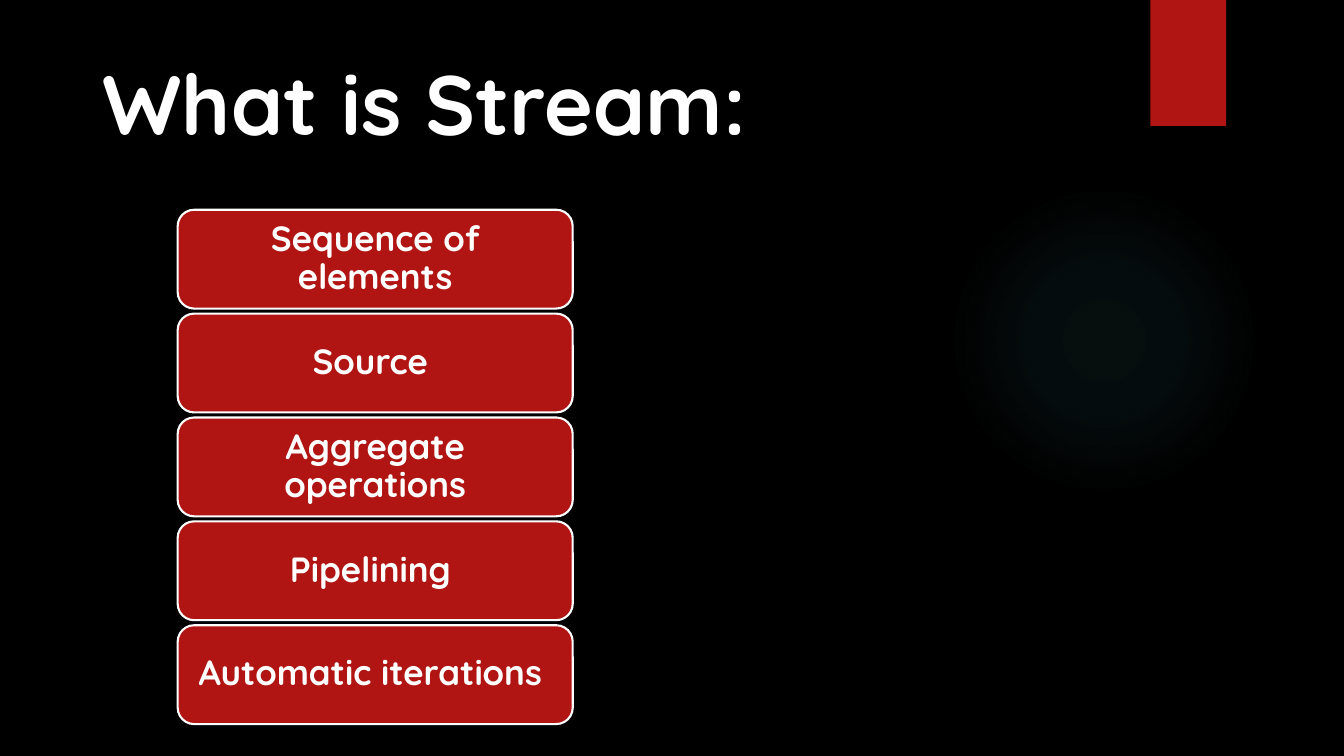
from dataclasses import dataclass

from lxml import etree
from pptx import Presentation
from pptx.dml.color import RGBColor
from pptx.enum.shapes import MSO_SHAPE
from pptx.enum.text import MSO_ANCHOR, MSO_AUTO_SIZE, PP_ALIGN
from pptx.oxml import parse_xml
from pptx.oxml.ns import nsdecls, qn
from pptx.util import Pt

ELLIPSE, RECTANGLE = MSO_SHAPE.OVAL, MSO_SHAPE.RECTANGLE
ROUNDED = MSO_SHAPE.ROUNDED_RECTANGLE
BOTTOM, MIDDLE = MSO_ANCHOR.BOTTOM, MSO_ANCHOR.MIDDLE
LEFT, CENTER = PP_ALIGN.LEFT, PP_ALIGN.CENTER
NO_AUTOFIT = MSO_AUTO_SIZE.NONE
TITLE_ONLY = 5

FEATURES = [
    "Sequence of elements",
    "Source ",
    "Aggregate operations",
    "Pipelining ",
    "Automatic iterations ",
]
FEATURE_LEFT, FEATURE_TOP = 126.9, 149.8
FEATURE_WIDTH, FEATURE_HEIGHT, FEATURE_PITCH = 282.2, 70.6, 74.2


@dataclass(frozen=True)
class Theme:
    background: str = "000000"
    accent: str = "B01513"
    glow: str = "50B9C1"
    text: str = "FFFFFF"
    font: str = "Quicksand"
    title_size: float = 60
    feature_size: float = 25
    outline: float = 1.5


class SlideBuilder:
    def __init__(self, slide, theme):
        self.slide = slide
        self.theme = theme

    def background(self):
        fill = self.slide.background.fill
        fill.solid()
        fill.fore_color.rgb = RGBColor.from_string(self.theme.background)

    def add_text(self, frame, text, size, align, anchor):
        frame.word_wrap = True
        frame.auto_size = NO_AUTOFIT
        frame.vertical_anchor = anchor
        paragraph = frame.paragraphs[0]
        paragraph.alignment = align
        run = paragraph.add_run()
        run.text = text
        run.font.name = self.theme.font
        run.font.size = Pt(size)
        run.font.bold = True
        run.font.color.rgb = RGBColor.from_string(self.theme.text)
        return paragraph

    def title(self, text, left, top, width, height):
        title = self.slide.shapes.title
        title.left, title.top = Pt(left), Pt(top)
        title.width, title.height = Pt(width), Pt(height)
        self.add_text(title.text_frame, text, self.theme.title_size, LEFT, BOTTOM)

    def block(self, kind, left, top, width, height):
        """Add an accent-coloured shape without outline or shadow."""
        block = self.slide.shapes.add_shape(
            kind, Pt(left), Pt(top), Pt(width), Pt(height))
        block.shadow.inherit = False
        block.fill.solid()
        block.fill.fore_color.rgb = RGBColor.from_string(self.theme.accent)
        block.line.fill.background()
        return block

    def glow(self, left, top, size, stops):
        """Add a circle fading outwards; stops are (position, opacity) in percent."""
        circle = self.block(ELLIPSE, left, top, size, size)
        gradient = parse_xml(
            f'<a:gradFill {nsdecls("a")} rotWithShape="1"><a:gsLst/>'
            '<a:path path="circle"><a:fillToRect l="50000" t="50000"'
            ' r="50000" b="50000"/></a:path></a:gradFill>')
        for position, opacity in stops:
            stop = etree.SubElement(gradient[0], qn("a:gs"), pos=str(position * 1000))
            color = etree.SubElement(stop, qn("a:srgbClr"), val=self.theme.glow)
            etree.SubElement(color, qn("a:alpha"), val=str(opacity * 1000))
        properties = circle.element.spPr
        properties.replace(properties.find(qn("a:solidFill")), gradient)

    def feature(self, text, left, top, width, height):
        box = self.block(ROUNDED, left, top, width, height)
        box.line.color.rgb = RGBColor.from_string(self.theme.text)
        box.line.width = Pt(self.theme.outline)
        label = self.add_text(
            box.text_frame, text, self.theme.feature_size, CENTER, MIDDLE)
        label.line_spacing = 0.9


def main():
    presentation = Presentation()
    presentation.slide_width, presentation.slide_height = Pt(960), Pt(540)
    slide = presentation.slides.add_slide(presentation.slide_layouts[TITLE_ONLY])
    builder = SlideBuilder(slide, Theme())

    builder.background()
    builder.glow(677.5, 131.8, 221.8, [(0, 7), (36, 6), (69, 0)])
    builder.block(RECTANGLE, 821.8, 0, 54, 90)
    builder.title("What is Stream:", 66.2, 32.4, 725, 80)
    for row, text in enumerate(FEATURES):
        builder.feature(text, FEATURE_LEFT, FEATURE_TOP + row * FEATURE_PITCH,
                        FEATURE_WIDTH, FEATURE_HEIGHT)

    presentation.save("out.pptx")


if __name__ == "__main__":
    main()
